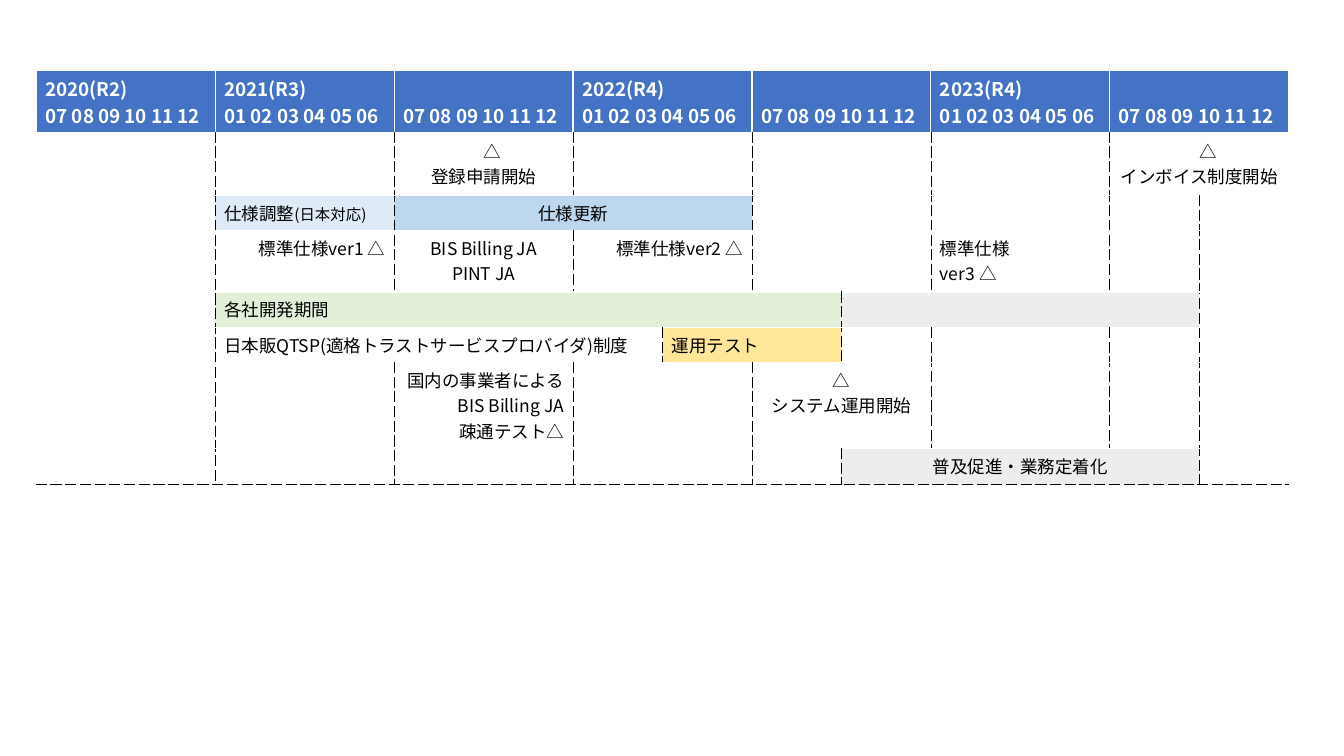
from lxml.etree import SubElement
from pptx import Presentation
from pptx.dml.color import RGBColor
from pptx.enum.lang import MSO_LANGUAGE_ID
from pptx.enum.text import MSO_ANCHOR, PP_ALIGN
from pptx.oxml.ns import qn
from pptx.text.text import Font
from pptx.util import Pt

FONT = "Noto Sans CJK JP"
COLORS = {
    "header": "4472C4", "white": "FFFFFF", "black": "000000",
    "adjust": "DEEBF7", "update": "BDD7EE", "develop": "E2F0D9",
    "test": "FFE699", "spread": "EDEDED",
}
LEFT, CENTER, RIGHT = PP_ALIGN.LEFT, PP_ALIGN.CENTER, PP_ALIGN.RIGHT
HALF_YEAR = 127.8
QUARTER = HALF_YEAR / 2
COLUMN_WIDTHS = [HALF_YEAR] * 3 + [QUARTER] * 4 + [HALF_YEAR] + [QUARTER] * 2
ROW_HEIGHTS = [45, 44.3, 25, 44, 25.3, 25, 61.4, 26]

FIRST_HALF = "01 02 03 04 05 06"
SECOND_HALF = "07 08 09 10 11 12"
ONE, TWO = (1, "", LEFT, "white"), (2, "", LEFT, "white")

# Each cell: columns spanned, text, alignment, fill
ROWS = [
    [(1, "2020(R2)\n" + SECOND_HALF, LEFT, "header"),
     (1, "2021(R3)\n" + FIRST_HALF, LEFT, "header"),
     (1, "\n" + SECOND_HALF, LEFT, "header"),
     (2, "2022(R4)\n" + FIRST_HALF, LEFT, "header"),
     (2, "\n" + SECOND_HALF, LEFT, "header"),
     (1, "2023(R4)\n" + FIRST_HALF, LEFT, "header"),
     (2, "\n" + SECOND_HALF, LEFT, "header")],
    [ONE, ONE, (1, "　△\n登録申請開始", CENTER, "white"), TWO, TWO, ONE,
     (2, "　△\nインボイス制度開始", CENTER, "white")],
    [ONE, (1, "仕様調整", LEFT, "adjust"), (3, "仕様更新", CENTER, "update"),
     TWO, ONE, ONE, ONE],
    [ONE, (1, "標準仕様ver1 △", RIGHT, "white"),
     (1, "BIS Billing JA\nPINT JA", CENTER, "white"),
     (2, "標準仕様ver2 △", RIGHT, "white"), TWO,
     (1, "標準仕様\nver3 △", LEFT, "white"), ONE, ONE],
    [ONE, (5, "各社開発期間", LEFT, "develop"), (3, "", LEFT, "spread"), ONE],
    [ONE, (3, "日本販QTSP(適格トラストサービスプロバイダ)制度", LEFT, "white"),
     (2, "運用テスト", LEFT, "test"), ONE, ONE, ONE, ONE],
    [ONE, ONE, (1, "国内の事業者によるBIS Billing JA\n疎通テスト△", RIGHT, "white"),
     TWO, (2, "△\nシステム運用開始", CENTER, "white"), ONE, ONE, ONE],
    [ONE, ONE, ONE, TWO, ONE, (3, "普及促進・業務定着化", CENTER, "spread"), ONE],
]
SOLID, HEAVY = ("white", 1, "solid"), ("white", 3, "solid")
DASHED = ("black", 0.5, "lgDash")


def style_font(font, properties, size, color, bold):
    """Set the look of a run, or of the end of an empty paragraph."""
    font.size, font.bold, font.name = Pt(size), bold, FONT
    font.language_id = MSO_LANGUAGE_ID.JAPANESE
    font.color.rgb = RGBColor.from_string(COLORS[color])
    SubElement(properties, qn("a:ea")).set("typeface", FONT)


def set_borders(cell, borders):
    """Draw the left, right, top and bottom borders, in that order."""
    properties = cell._tc.get_or_add_tcPr()
    for side, (color, width, dash) in zip("LRTB", borders):
        line = SubElement(properties, qn("a:ln" + side), w=str(Pt(width)))
        fill = SubElement(line, qn("a:solidFill"))
        SubElement(fill, qn("a:srgbClr"), val=COLORS[color])
        SubElement(line, qn("a:prstDash"), val=dash)


deck = Presentation()
deck.slide_width, deck.slide_height = Pt(960), Pt(540)
page = deck.slides.add_slide(deck.slide_layouts[6])
frame = page.shapes.add_table(
    len(ROWS), len(COLUMN_WIDTHS), Pt(26), Pt(50),
    Pt(sum(COLUMN_WIDTHS)), Pt(sum(ROW_HEIGHTS)))
schedule = frame.table
schedule.horz_banding = False
for column, width in zip(schedule.columns, COLUMN_WIDTHS):
    column.width = Pt(width)
for row, height in zip(schedule.rows, ROW_HEIGHTS):
    row.height = Pt(height)

last_row, last_column = len(ROWS) - 1, len(COLUMN_WIDTHS) - 1
for row_index, entries in enumerate(ROWS):
    is_header = row_index == 0
    size, color = (13.5, "white") if is_header else (12.5, "black")
    start = 0
    for span, text, alignment, fill in entries:
        end = start + span - 1
        if span > 1:
            schedule.cell(row_index, start).merge(schedule.cell(row_index, end))
        borders = (
            SOLID if is_header or start == 0 else DASHED,
            SOLID if is_header or end == last_column else DASHED,
            SOLID,
            HEAVY if is_header else DASHED if row_index == last_row else SOLID)
        for column_index in range(start, end + 1):
            cell = schedule.cell(row_index, column_index)
            cell.margin_left = cell.margin_right = Pt(6.5)
            cell.margin_top = cell.margin_bottom = Pt(3.25)
            set_borders(cell, borders)
            cell.fill.solid()
            cell.fill.fore_color.rgb = RGBColor.from_string(COLORS[fill])
            if column_index == start:
                cell.text_frame.text = text
            for para in cell.text_frame.paragraphs:
                para.alignment = alignment
                for span_run in para.runs:
                    style_font(span_run.font, span_run._r.get_or_add_rPr(),
                               size, color, is_header)
                if not para.runs:
                    ending = para._p.get_or_add_endParaRPr()
                    style_font(Font(ending), ending, size, color, is_header)
        start = end + 1

for column_index in (1, 2):
    schedule.cell(2, column_index).vertical_anchor = MSO_ANCHOR.MIDDLE
note = schedule.cell(2, 1).text_frame.paragraphs[0].add_run()
note.text = "(日本対応)"
style_font(note.font, note._r.get_or_add_rPr(), 11, "black", False)

deck.save("out.pptx")
